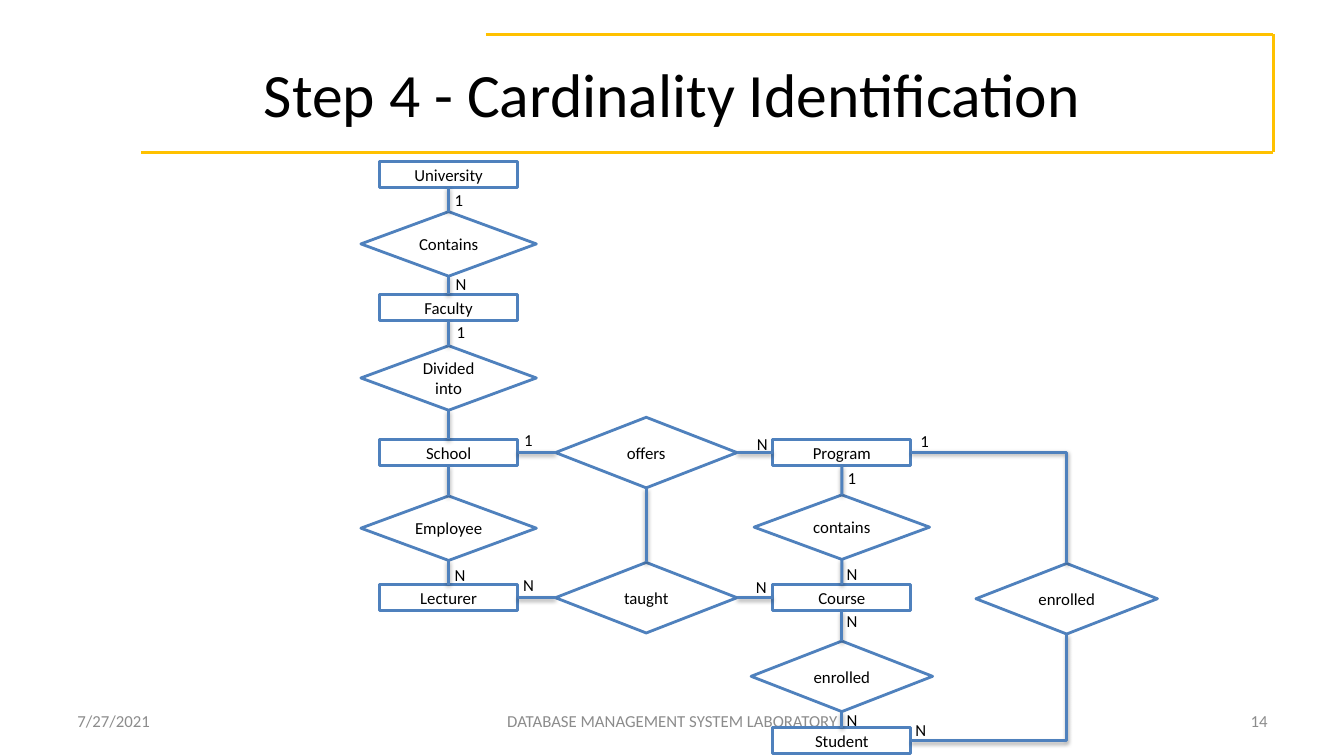
from dataclasses import dataclass

from lxml import etree
from pptx import Presentation
from pptx import util as u
from pptx.dml.color import RGBColor
from pptx.enum import shapes, text
from pptx.oxml import parse_xml
from pptx.oxml.ns import nsdecls, qn


@dataclass(frozen=True)
class Theme:
    font: str = "Calibri"
    ink: str = "000000"
    muted: str = "8C8C8C"
    paper: str = "FFFFFF"
    blue: str = "4F81BD"
    gold: str = "FFC100"
    title_size: int = 44
    body_size: int = 12
    line_width: int = 2


THEME = Theme()
RECT, DIAMOND = shapes.MSO_SHAPE.RECTANGLE, shapes.MSO_SHAPE.DIAMOND
ENTITY = (RECT, 1.37, 0.26)
RELATION = (DIAMOND, 1.74, 0.64)
WIDE_RELATION = (DIAMOND, 1.8, 0.7)
TOP, LEFT, BOTTOM, RIGHT = range(4)
STAFF_X, LINK_X, STUDY_X, ENROL_X = 4.45, 6.41, 8.35, 10.58
UPPER_Y, LOWER_Y = 4.49, 5.93

# key: (wording, kind, centre x, centre y)
NODES = {
    "university": ("University", ENTITY, STAFF_X, 1.73),
    "contains faculty": ("Contains", RELATION, STAFF_X, 2.42),
    "faculty": ("Faculty", ENTITY, STAFF_X, 3.05),
    "divided": ("Divided into", RELATION, STAFF_X, 3.75),
    "school": ("School", ENTITY, STAFF_X, UPPER_Y),
    "employee": ("Employee", RELATION, STAFF_X, 5.24),
    "lecturer": ("Lecturer", ENTITY, STAFF_X, LOWER_Y),
    "offers": ("offers", WIDE_RELATION, LINK_X, UPPER_Y),
    "taught": ("taught", WIDE_RELATION, LINK_X, LOWER_Y),
    "program": ("Program", ENTITY, STUDY_X, UPPER_Y),
    "contains course": ("contains", RELATION, STUDY_X, 5.23),
    "course": ("Course", ENTITY, STUDY_X, LOWER_Y),
    "course enrolled": ("enrolled", WIDE_RELATION, STUDY_X, 6.71),
    "student": ("Student", ENTITY, STUDY_X, 7.35),
    "program enrolled": ("enrolled", WIDE_RELATION, ENROL_X, 5.94),
}

# Each chain is joined from one node to the next.
DOWN_CHAINS = [
    ["university", "contains faculty", "faculty", "divided", "school", "employee", "lecturer"],
    ["offers", "taught"],
    ["program", "contains course", "course", "course enrolled", "student"],
]
ACROSS_CHAINS = [["school", "offers", "program"], ["lecturer", "taught", "course"]]

# left and top of each cardinality mark
CARDINALITIES = {
    "1": [(4.41, 1.83), (4.43, 3.14), (5.1, 4.21), (9.03, 4.22), (8.31, 4.59)],
    "N": [(4.42, 2.67), (4.41, 5.55), (5.09, 5.65), (7.41, 4.25), (8.3, 5.54),
          (7.4, 5.67), (8.3, 6.01), (8.98, 7.09), (8.3, 6.99)],
}


def set_all(target, values):
    for name, value in values.items():
        setattr(target, name, value)


def place(shape, left, top, width, height):
    set_all(shape, {"left": u.Inches(left), "top": u.Inches(top),
                    "width": u.Inches(width), "height": u.Inches(height)})


def write(shape, wording, size=THEME.body_size, colour=THEME.ink,
          align=text.PP_ALIGN.CENTER, **frame_format):
    frame = shape.text_frame
    set_all(frame, {"word_wrap": True, "vertical_anchor": text.MSO_ANCHOR.MIDDLE,
                    **frame_format})
    paragraph = frame.paragraphs[0]
    paragraph.alignment = align
    run = paragraph.add_run()
    run.text = wording
    set_all(run.font, {"name": THEME.font, "size": u.Pt(size)})
    run.font.color.rgb = RGBColor.from_string(colour)


def paint_line(shape, colour):
    shape.line.color.rgb = RGBColor.from_string(colour)
    shape.line.width = u.Pt(THEME.line_width)


def add_label(slide, wording, box, **style):
    label = slide.shapes.add_textbox(*map(u.Inches, box))
    write(label, wording, **style)


def add_node(slide, wording, kind, centre_x, centre_y):
    preset, width, height = kind
    box = (centre_x - width / 2, centre_y - height / 2, width, height)
    node = slide.shapes.add_shape(preset, *map(u.Inches, box))
    node.shadow.inherit = False
    node.fill.solid()
    node.fill.fore_color.rgb = RGBColor.from_string(THEME.paper)
    paint_line(node, THEME.blue)
    inset = u.Inches(0.05)
    write(node, wording, margin_left=inset, margin_right=inset)
    return node


def add_link(slide, start, start_side, end, end_side, bent=False):
    """Glue a shadowed line to two nodes; a bent one turns a single corner."""
    kind = shapes.MSO_CONNECTOR.ELBOW if bent else shapes.MSO_CONNECTOR.STRAIGHT
    link = slide.shapes.add_connector(kind, 0, 0, 0, 0)
    link.begin_connect(start, start_side)
    link.end_connect(end, end_side)
    paint_line(link, THEME.blue)
    properties = link._element.spPr
    if bent:
        properties.find(qn("a:prstGeom")).set("prst", "bentConnector2")
    properties.append(parse_xml(
        f'<a:effectLst {nsdecls("a")}>'
        '<a:outerShdw blurRad="40000" dist="20000" dir="5400000" rotWithShape="0">'
        f'<a:srgbClr val="{THEME.ink}"><a:alpha val="38000"/></a:srgbClr>'
        '</a:outerShdw></a:effectLst>'))


def add_title_frame(slide):
    corners = [(4.82, 0.34), (12.63, 0.34), (12.63, 1.51), (1.4, 1.51)]
    for start, end in zip(corners, corners[1:]):
        edge = slide.shapes.add_connector(
            shapes.MSO_CONNECTOR.STRAIGHT, *map(u.Inches, start + end))
        paint_line(edge, THEME.gold)
        etree.SubElement(edge._element.spPr, qn("a:effectLst"))


def add_footer(slide):
    align = text.PP_ALIGN
    for wording, left, width, side in [
        ("7/27/2021", 0.67, 3.11, align.LEFT),
        ("DATABASE MANAGEMENT SYSTEM LABORATORY", 4.56, 4.22, align.CENTER),
        ("14", 9.56, 3.11, align.RIGHT),
    ]:
        add_label(slide, wording, (left, 6.95, width, 0.4), colour=THEME.muted, align=side)


def add_diagram(slide):
    nodes = {key: add_node(slide, *node) for key, node in NODES.items()}
    for chains, start_side, end_side in [(DOWN_CHAINS, BOTTOM, TOP),
                                         (ACROSS_CHAINS, RIGHT, LEFT)]:
        for chain in chains:
            for start, end in zip(chain, chain[1:]):
                add_link(slide, nodes[start], start_side, nodes[end], end_side)
    for entity, side in [("program", TOP), ("student", BOTTOM)]:
        add_link(slide, nodes[entity], RIGHT, nodes["program enrolled"], side, bent=True)
    for mark, corners in CARDINALITIES.items():
        for left, top in corners:
            add_label(slide, mark, (left, top, 0.3, 0.3), align=text.PP_ALIGN.LEFT,
                      word_wrap=False, vertical_anchor=text.MSO_ANCHOR.TOP)


def main():
    deck = Presentation()
    set_all(deck, {"slide_width": u.Inches(13.33), "slide_height": u.Inches(7.5)})
    slide = deck.slides.add_slide(deck.slide_layouts.get_by_name("Title Only"))
    add_title_frame(slide)
    title = slide.shapes.title
    place(title, 0.67, 0.3, 12, 1.25)
    write(title, "Step 4 - Cardinality Identification", size=THEME.title_size,
          auto_size=text.MSO_AUTO_SIZE.NONE)
    add_footer(slide)
    add_diagram(slide)
    deck.save("out.pptx")


if __name__ == "__main__":
    main()
